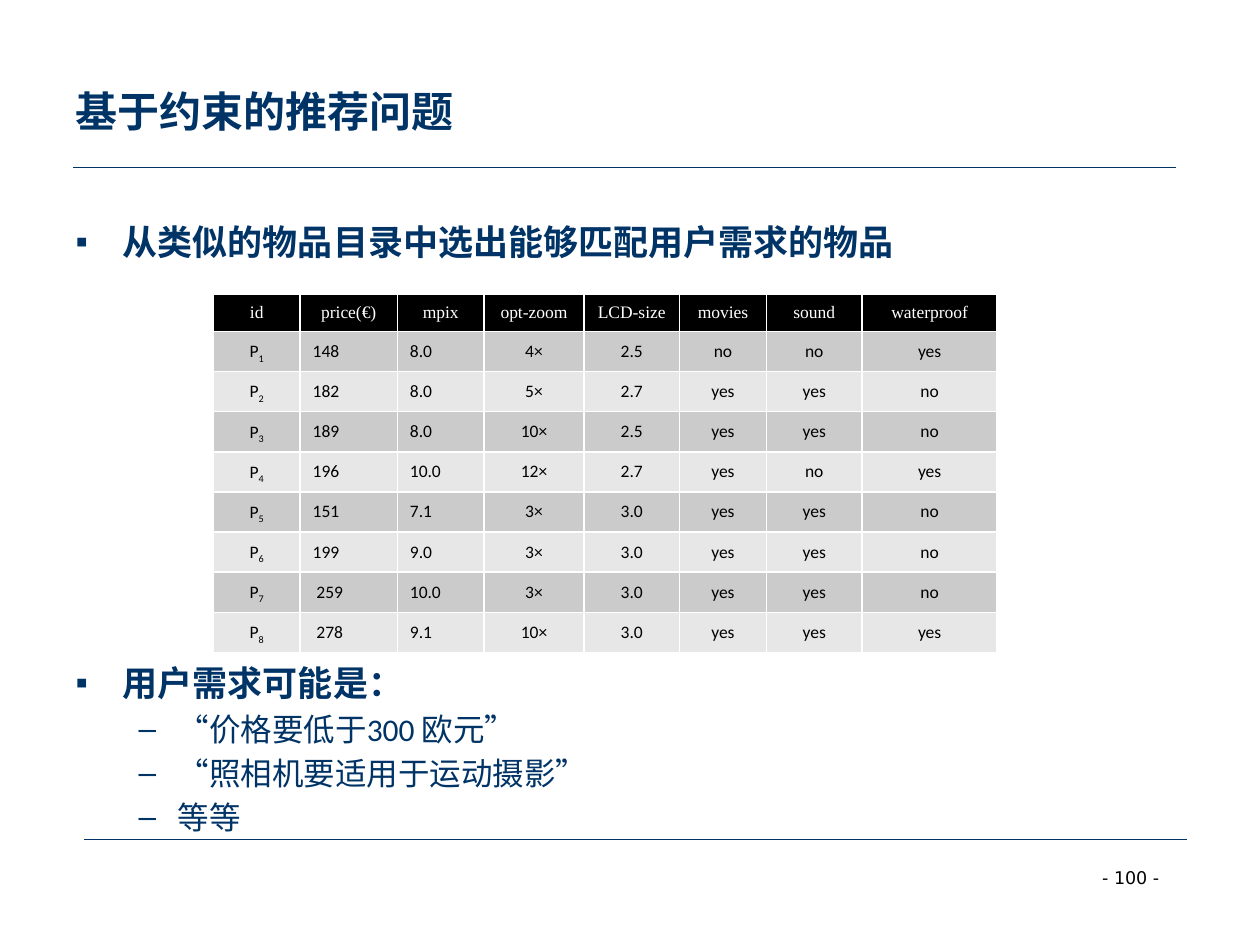
from lxml.etree import SubElement
from pptx import Presentation
from pptx.dml.color import RGBColor
from pptx.enum.lang import MSO_LANGUAGE_ID as Lang
from pptx.enum.shapes import MSO_CONNECTOR as Connector
from pptx.enum.text import MSO_ANCHOR as Anchor, MSO_AUTO_SIZE as AutoSize, PP_ALIGN as Align
from pptx.oxml.ns import qn
from pptx.util import Cm, Pt

COLORS = {"navy": "003366", "black": "000000", "white": "FFFFFF",
          "odd": "CBCBCB", "even": "E7E7E7"}

HEADINGS = ["id", "price(€)", "mpix", "opt-zoom", "LCD-size", "movies", "sound", "waterproof"]
WIDTHS = [1.75, 1.96, 1.75, 2.01, 1.93, 1.75, 1.93, 2.72]
CAMERAS = [
    ["148", "8.0", "4×", "2.5", "no", "no", "yes"],
    ["182", "8.0", "5×", "2.7", "yes", "yes", "no"],
    ["189", "8.0", "10×", "2.5", "yes", "yes", "no"],
    ["196", "10.0", "12×", "2.7", "yes", "no", "yes"],
    ["151", "7.1", "3×", "3.0", "yes", "yes", "no"],
    ["199", "9.0", "3×", "3.0", "yes", "yes", "no"],
    ["259", "10.0", "3×", "3.0", "yes", "yes", "no"],
    ["278", "9.1", "10×", "3.0", "yes", "yes", "yes"],
]
LEFT_COLUMNS = (1, 2)
INDENTED_PRICES = ("259", "278")

# text, level, space before (the second topic stands below the table)
POINTS = [
    ("从类似的物品目录中选出能够匹配用户需求的物品", 0, Pt(0)),
    ("用户需求可能是：", 0, Pt(228)),
    ("“价格要低于300 欧元”", 1, None),
    ("“照相机要适用于运动摄影”", 1, None),
    ("等等", 1, None),
]
LEVELS = [
    {"bullet": "▪", "left": Cm(0.95), "hang": Cm(0.95), "size": 20, "bold": True},
    {"bullet": "–", "left": Cm(2.06), "hang": Cm(0.79), "size": 18, "bold": False},
]


class PageBuilder:
    def __init__(self, page, font="Calibri", color="navy"):
        self.page = page
        self.font = font
        self.color = color

    def span(self, para, text, size, color=None, **values):
        run = para.add_run()
        run.text = text
        style = {"name": self.font, "size": Pt(size), "bold": False} | values
        for name, value in style.items():
            setattr(run.font, name, value)
        run.font.color.rgb = RGBColor.from_string(COLORS[color or self.color])
        return run

    def place(self, shape, left, top, width, height):
        box = {"left": left, "top": top, "width": width, "height": height}
        for name, value in box.items():
            setattr(shape, name, Cm(value))
        shape.text_frame.auto_size = AutoSize.NONE
        return shape.text_frame

    def title(self, text, *box):
        frame = self.place(self.page.shapes.title, *box)
        frame.vertical_anchor = Anchor.MIDDLE
        para = frame.paragraphs[0]
        para.alignment = Align.LEFT
        self.span(para, text, 24, bold=True, language_id=Lang.SIMPLIFIED_CHINESE)

    def bullets(self, points, *box):
        frame = self.place(self.page.placeholders[1], *box)
        for index, (text, level, before) in enumerate(points):
            para = frame.add_paragraph() if index else frame.paragraphs[0]
            style = LEVELS[level]
            para.level = level
            props = para._p.get_or_add_pPr()
            props.set("marL", str(style["left"]))
            props.set("indent", str(-style["hang"]))
            SubElement(props, qn("a:buChar")).set("char", style["bullet"])
            if before is not None:
                para.space_before = before
            self.span(para, text, style["size"], bold=style["bold"],
                      language_id=Lang.SIMPLIFIED_CHINESE)

    def rule(self, left, top, width):
        line = self.page.shapes.add_connector(
            Connector.STRAIGHT, Cm(left), Cm(top), Cm(left + width), Cm(top))
        line.line.color.rgb = RGBColor.from_string(COLORS[self.color])
        line.line.width = Pt(0.75)
        SubElement(line._element.spPr, qn("a:effectLst"))

    def label(self, text, *box):
        shape = self.page.shapes.add_textbox(*map(Cm, box))
        self.span(shape.text_frame.paragraphs[0], text, 10, "black", name="DejaVu Sans")

    def cell(self, cell, text, fill, align, **style):
        cell.fill.solid()
        cell.fill.fore_color.rgb = RGBColor.from_string(COLORS[fill])
        para = cell.text_frame.paragraphs[0]
        para.alignment = align
        para.line_spacing = 1.15
        self.span(para, text, 10, **style)
        return para

    def camera_table(self, left, top, row_height):
        rows = len(CAMERAS) + 1
        table = self.page.shapes.add_table(
            rows, len(HEADINGS), Cm(left), Cm(top),
            Cm(sum(WIDTHS)), Cm(row_height * rows)).table
        for column, (heading, width) in enumerate(zip(HEADINGS, WIDTHS)):
            table.columns[column].width = Cm(width)
            self.cell(table.cell(0, column), heading, "black", Align.CENTER,
                      color="white", name="Times New Roman")
        for row, camera in enumerate(CAMERAS, 1):
            fill = "odd" if row % 2 else "even"
            para = self.cell(table.cell(row, 0), "P", fill, Align.CENTER, color="black")
            index = self.span(para, str(row), 10, "black")
            index.font._element.set("baseline", "-25000")
            for column, value in enumerate(camera, 1):
                cell = table.cell(row, column)
                align = Align.LEFT if column in LEFT_COLUMNS else Align.CENTER
                self.cell(cell, value, fill, align, color="black")
                if value in INDENTED_PRICES:
                    cell.margin_left = Cm(0.33)


def main():
    deck = Presentation()
    deck.slide_width, deck.slide_height = Cm(25.4), Cm(19.05)
    builder = PageBuilder(deck.slides.add_slide(deck.slide_layouts[1]))
    builder.rule(1.48, 3.38, 22.22)
    builder.label("- 100 -", 21.97, 17.35, 1.93, 0.69)
    builder.rule(1.7, 16.93, 22.22)
    builder.title("基于约束的推荐问题", 1.27, 0.64, 22.86, 3.18)
    builder.bullets(POINTS, 1.27, 4.32, 22.86, 13.21)
    builder.camera_table(4.3, 5.93, 0.75)
    deck.save("out.pptx")


if __name__ == "__main__":
    main()
